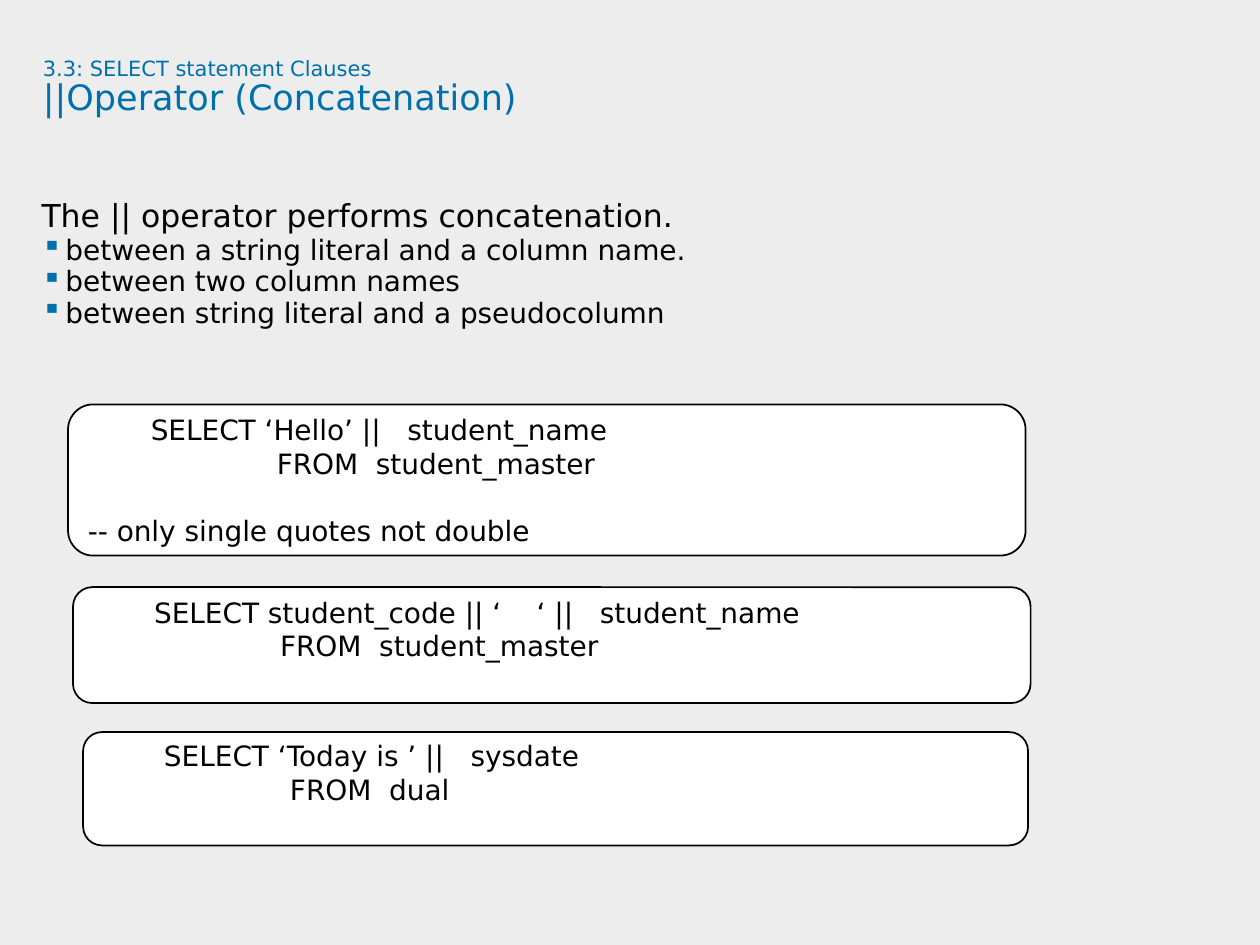
from lxml.etree import SubElement
from pptx import Presentation
from pptx.dml.color import RGBColor
from pptx.enum.shapes import MSO_SHAPE as SHAPE
from pptx.enum.text import MSO_ANCHOR as ANCHOR, PP_ALIGN as ALIGN
from pptx.oxml.ns import qn
from pptx.util import Inches, Pt

BLUE = RGBColor(0x00, 0x70, 0xAD)
BLACK = RGBColor(0x00, 0x00, 0x00)
WHITE = RGBColor(0xFF, 0xFF, 0xFF)
GREY = RGBColor(0xED, 0xED, 0xED)
FONT = "DejaVu Sans"

deck = Presentation()
deck.slide_width, deck.slide_height = Inches(10), Inches(7.5)
COL, ROW = deck.slide_width / 100, deck.slide_height / 100
slide = deck.slides.add_slide(deck.slide_layouts[6])
slide.background.fill.solid()
slide.background.fill.fore_color.rgb = GREY


def place(left, top, width, height):
    """Turn grid columns and rows into lengths."""
    return int(left * COL), int(top * ROW), int(width * COL), int(height * ROW)


def write(frame, lines, color):
    """Fill the frame with (text, size, indent) lines."""
    frame.word_wrap = True
    frame.text = "\n".join(text for text, size, indent in lines)
    for para, (text, size, indent) in zip(frame.paragraphs, lines):
        para.alignment = ALIGN.LEFT
        para._p.get_or_add_pPr().set("marL", str(Inches(indent)))
        para._p.pPr.set("indent", "0")
        for run in para.runs:
            run.font.name, run.font.size = FONT, Pt(size)
            run.font.color.rgb = color
    return frame.paragraphs


# Heading and bullet list
head = slide.shapes.add_textbox(*place(3.4, 6.13, 90.9, 12.53)).text_frame
body = slide.shapes.add_textbox(*place(3.3, 21.73, 96.7, 67.73)).text_frame
for frame in (head, body):
    frame.margin_left = frame.margin_right = 0
    frame.margin_top = frame.margin_bottom = 0

for para in write(head, [("3.3: SELECT statement Clauses", 12, 0),
                         ("||Operator (Concatenation)", 20, 0)], BLUE):
    para.line_spacing = 0.9

lead, *points = write(body, [
    ("The || operator performs concatenation.", 18, 0),
    ("between a string literal and a column name.", 16, 0.19),
    ("between two column names", 16, 0.19),
    ("between string literal and a pseudocolumn", 16, 0.19),
], BLACK)
lead.line_spacing, lead.space_after = Pt(16.5), Pt(4.5)
for para in points:
    props = para._p.pPr
    props.set("indent", str(Inches(-0.19)))
    tint = SubElement(props, qn("a:buClr"))
    SubElement(tint, qn("a:srgbClr")).set("val", str(BLUE))
    SubElement(props, qn("a:buChar")).set("char", "▪")
    para.line_spacing, para.space_after = Pt(13.5), Pt(4.5)

# Code boxes: place, bottom margin in inches, SELECT line, FROM line, remark
boxes = [
    ((5.4, 42.8, 76, 16), 0.05,
     "SELECT ‘Hello’ ||   student_name", "FROM  student_master",
     "-- only single quotes not double"),
    ((5.8, 62.13, 76, 12.27), 0.31,
     "SELECT student_code || ‘    ‘ ||   student_name",
     "FROM  student_master", None),
    ((6.6, 77.47, 75, 12), 0.31,
     "SELECT ‘Today is ’ ||   sysdate", "FROM  dual", None),
]
for spot, foot, pick, source, remark in boxes:
    box = slide.shapes.add_shape(SHAPE.ROUNDED_RECTANGLE, *place(*spot))
    box.shadow.inherit = False
    box.fill.solid()
    box.fill.fore_color.rgb = WHITE
    box.line.color.rgb, box.line.width = BLACK, Pt(1)
    frame = box.text_frame
    frame.vertical_anchor = ANCHOR.MIDDLE
    frame.margin_bottom = Inches(foot)
    lines = [(pick, 16, 0.5), (source, 16, 1.5)]
    if remark:
        lines.append((remark, 16, 0))
    paras = write(frame, lines, BLACK)
    if remark:
        paras[-1].space_before = Pt(19)

deck.save("out.pptx")
